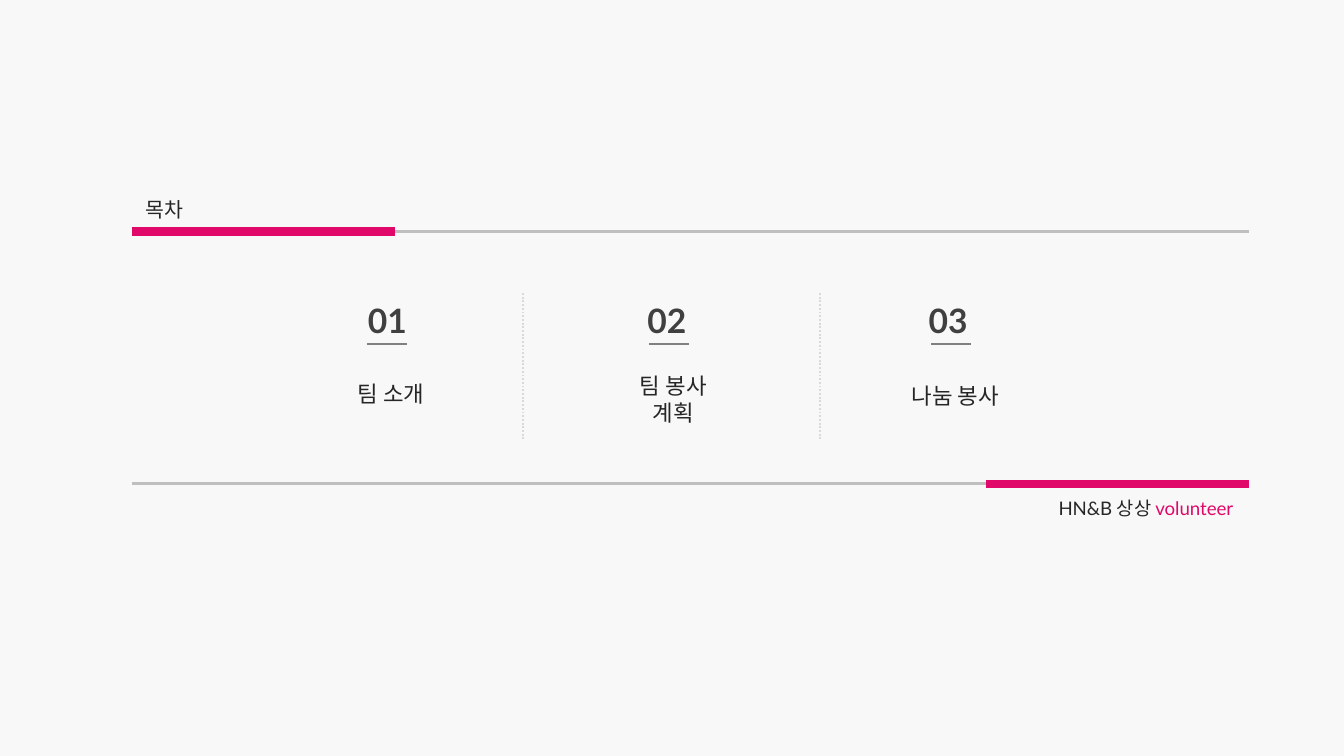
from collections import namedtuple
from dataclasses import dataclass

from lxml import etree
from pptx import Presentation
from pptx.dml.color import RGBColor
from pptx.enum.dml import MSO_LINE_DASH_STYLE as Dash
from pptx.enum.shapes import MSO_CONNECTOR as Connector
from pptx.enum.text import MSO_ANCHOR as Anchor, MSO_AUTO_SIZE as AutoSize, PP_ALIGN as Align
from pptx.oxml.ns import qn
from pptx.util import Pt


@dataclass(frozen=True)
class Theme:
    font: str = "Lato"
    background: str = "F8F8F8"
    accent: str = "E00868"
    ink: str = "262626"
    number: str = "404040"
    underline: str = "808080"
    rule: str = "BFBFBF"
    divider: str = "D9D9D9"
    title_size: float = 11
    number_size: float = 18
    label_size: float = 12
    footer_size: float = 10


THEME = Theme()
Box = namedtuple("Box", "left top width height")
Entry = namedtuple("Entry", "number lines number_left label_top")


def add_line(slide, start, end, color, weight, dash=None):
    line = slide.shapes.add_connector(Connector.STRAIGHT, *map(Pt, (*start, *end)))
    line.line.color.rgb = RGBColor.from_string(color)
    line.line.width = Pt(weight)
    if dash:
        line.line.dash_style = dash
    etree.SubElement(line._element.spPr, qn("a:effectLst"))


def add_run(paragraph, text, size, color, bold=False):
    run = paragraph.add_run()
    run.text = text
    run.font.name = THEME.font
    run.font.size = Pt(size)
    run.font.bold = bold
    run.font.color.rgb = RGBColor.from_string(color)


def format_frame(shape, align):
    frame = shape.text_frame
    frame.word_wrap = True
    frame.auto_size = AutoSize.NONE
    frame.vertical_anchor = Anchor.TOP
    frame.paragraphs[0].alignment = align
    return frame


def add_text_box(slide, box, align=Align.LEFT):
    return format_frame(slide.shapes.add_textbox(*map(Pt, box)), align)


def add_header(slide, box):
    """Title above a rule whose left end is accented."""
    bottom = box.top + box.height
    right = box.left + box.width
    add_line(slide, (box.left + 73.5, bottom), (right, bottom), THEME.rule, 1.5)
    add_line(slide, (box.left, bottom), (box.left + 141, bottom), THEME.accent, 4.5)
    title = slide.shapes.title
    title.left, title.top, title.width, title.height = map(
        Pt, (box.left + 0.5, box.top, 133, 21))
    paragraph = format_frame(title, Align.LEFT).paragraphs[0]
    add_run(paragraph, "목차", THEME.title_size, THEME.ink)


def add_entry(slide, box, entry):
    """Underlined number with a centred label below."""
    number = add_text_box(slide, Box(box.left + entry.number_left, box.top, 75, 29))
    add_run(number.paragraphs[0], entry.number, THEME.number_size, THEME.number, bold=True)

    center = box.left + box.width / 2
    underline_left, underline_y = center - 13, box.top + 27.5
    add_line(slide, (underline_left, underline_y), (underline_left + 21.5, underline_y),
             THEME.underline, 1)

    label = add_text_box(
        slide, Box(box.left, box.top + entry.label_top, box.width, 36), Align.CENTER)
    for index, text in enumerate(entry.lines):
        paragraph = label.add_paragraph() if index else label.paragraphs[0]
        paragraph.alignment = Align.CENTER
        add_run(paragraph, text, THEME.label_size, THEME.ink)


def add_contents(slide, box):
    """Three entries at an equal pitch, parted by dotted lines."""
    entries = [
        Entry("01", ["팀 소개"], 24, 43.2),
        Entry("02", ["팀 봉사", "계획"], 22.6, 38.8),
        Entry("03", ["나눔 봉사"], 22, 44),
    ]
    pitch, entry_width = 151.2, 87
    for index, entry in enumerate(entries):
        left = box.left + index * pitch
        add_entry(slide, Box(left, box.top, entry_width, box.height), entry)
    for offset in (114, 273.2):
        x = box.left + offset
        add_line(slide, (x, box.top), (x, box.top + box.height), THEME.divider, 1,
                 Dash.ROUND_DOT)


def add_footer(slide, box):
    """Rule whose right end is accented, with the group name below."""
    right = box.left + box.width
    add_line(slide, (box.left, box.top), (right - 73, box.top), THEME.rule, 1.5)
    add_line(slide, (right - 141, box.top), (right, box.top), THEME.accent, 4.5)
    paragraph = add_text_box(slide, Box(right - 109, box.top + 3.6, 133, 20)).paragraphs[0]
    add_run(paragraph, "HN&B 상상 ", THEME.footer_size, THEME.ink)
    add_run(paragraph, "volunteer", THEME.footer_size, THEME.accent)


def main():
    presentation = Presentation()
    presentation.slide_width, presentation.slide_height = Pt(720), Pt(405)
    slide = presentation.slides.add_slide(presentation.slide_layouts[5])
    background = slide.background.fill
    background.solid()
    background.fore_color.rgb = RGBColor.from_string(THEME.background)

    add_header(slide, Box(70.5, 102.2, 598.5, 21.8))
    add_contents(slide, Box(166, 157, 390, 78))
    add_footer(slide, Box(70.5, 259.2, 598.5, 24))
    presentation.save("out.pptx")


if __name__ == "__main__":
    main()
